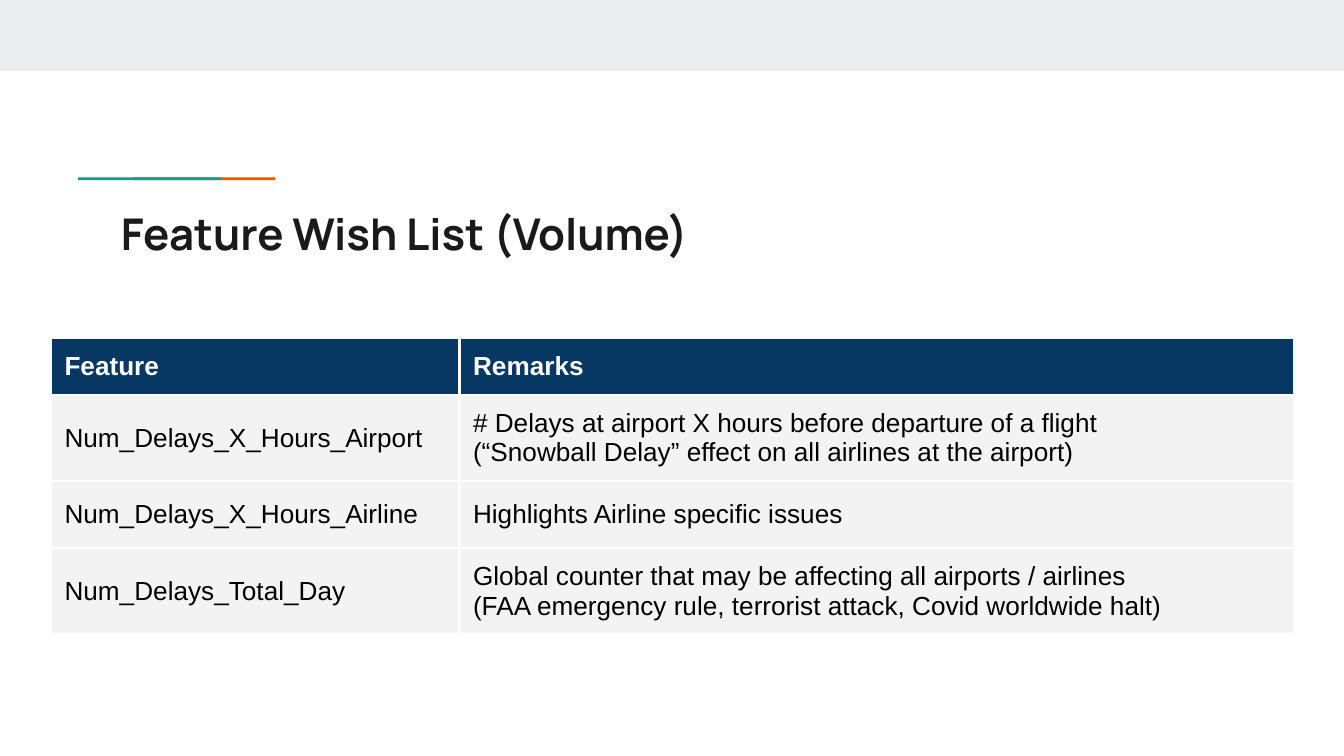
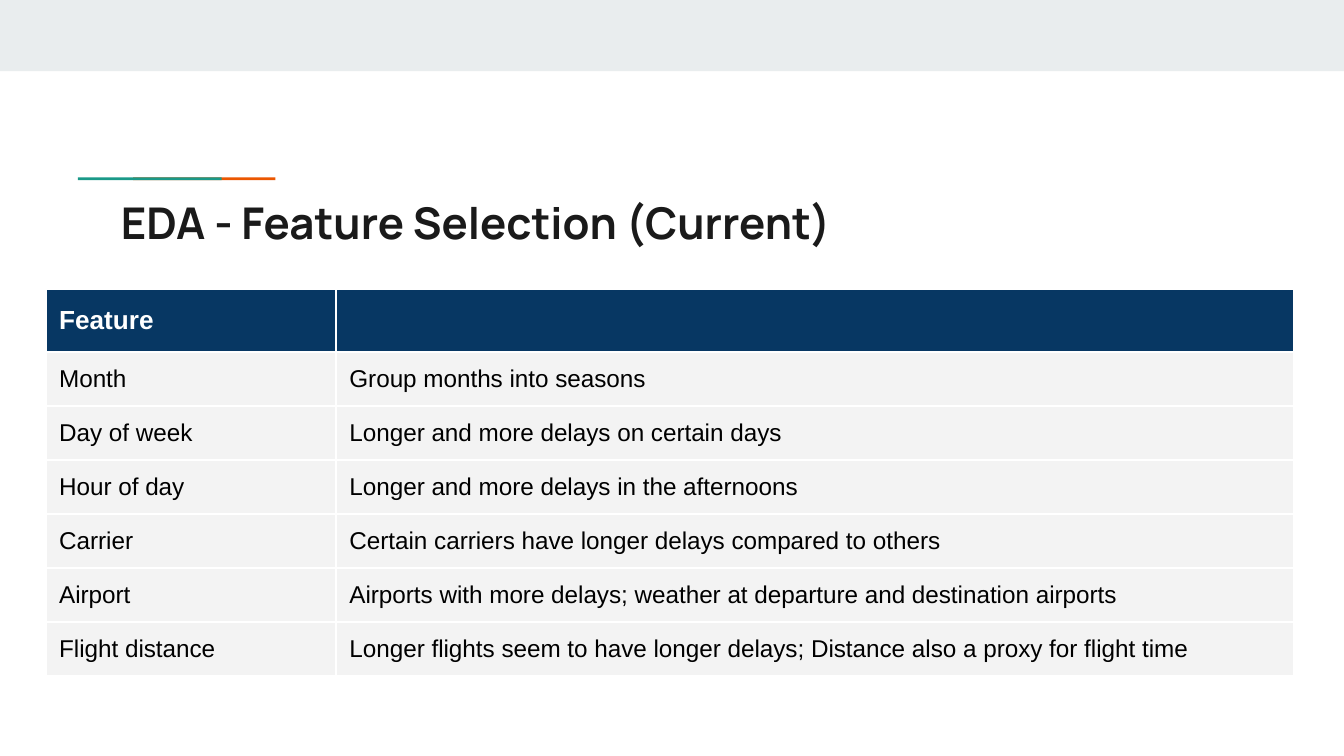
import lxml.etree
import pptx
import pptx.dml.color
import pptx.enum.shapes
import pptx.enum.text
import pptx.oxml
import pptx.oxml.ns
import pptx.util

Inches = pptx.util.Inches
Pt = pptx.util.Pt

FEATURE_SLIDES = [
    {
        "title": "Feature Wish List (Volume)",
        "title_top": 1.44,
        "table_at": (0.38, 2.51),
        "columns": (3.04, 6.21),
        "row_heights": (0.43, 0.64, 0.5, 0.64),
        "body_size": 14,
        "rows": [
            ("Feature", "Remarks"),
            ("Num_Delays_X_Hours_Airport",
             "# Delays at airport X hours before departure of a flight\v"
             "(“Snowball Delay” effect on all airlines at the airport)"),
            ("Num_Delays_X_Hours_Airline", "Highlights Airline specific issues"),
            ("Num_Delays_Total_Day",
             "Global counter that may be affecting all airports / airlines\n"
             "(FAA emergency rule, terrorist attack, Covid worldwide halt)"),
        ],
    },
    {
        "title": "EDA - Feature Selection (Current)",
        "title_top": 1.36,
        "table_at": (0.34, 2.15),
        "columns": (2.16, 7.13),
        "row_heights": (0.47,) + (0.4,) * 6,
        "body_size": 13,
        "rows": [
            ("Feature", ""),
            ("Month", "Group months into seasons"),
            ("Day of week", "Longer and more delays on certain days"),
            ("Hour of day", "Longer and more delays in the afternoons"),
            ("Carrier", "Certain carriers have longer delays compared to others"),
            ("Airport", "Airports with more delays; weather at departure and destination airports"),
            ("Flight distance",
             "Longer flights seem to have longer delays; Distance also a proxy for flight time"),
        ],
    },
]

SLIDE_WIDTH = Inches(10)
SLIDE_HEIGHT = SLIDE_WIDTH * 9 // 16
THEME = {
    "title": {"name": "Manrope", "size": Pt(23.4), "bold": True, "color": "1A1A1A"},
    "header": {"name": "Arial", "size": Pt(14), "bold": True, "color": "FFFFFF"},
    "body": {"name": "Arial", "bold": False, "color": "000000"},
    "header_fill": "073763",
    "body_fill": "F3F3F3",
    "border": ("FFFFFF", Pt(1.5)),
    # Left, top, width, height and colour; the teal bar overlaps the orange one.
    "bars": [
        (0, 0, 10, 0.53, "E9EDEE"),
        (0.99, 1.32, 1.06, 0.02, "EB5600"),
        (0.58, 1.32, 1.07, 0.02, "1A9988"),
    ],
}
FRAME = {
    "margin_left": Inches(0.1), "margin_right": Inches(0.1),
    "margin_top": Inches(0.1), "margin_bottom": Inches(0.1),
}


def rgb(value):
    return pptx.dml.color.RGBColor.from_string(value)


def set_all(target, values):
    for name, value in values.items():
        setattr(target, name, value)


def style_text(text_frame, look):
    for paragraph in text_frame.paragraphs:
        paragraph.alignment = pptx.enum.text.PP_ALIGN.LEFT
        for run in paragraph.runs:
            set_all(run.font, {k: v for k, v in look.items() if k != "color"})
            run.font.color.rgb = rgb(look["color"])
        if not paragraph.runs:
            # An empty line takes its height from the end mark.
            end_mark = pptx.oxml.ns.qn("a:endParaRPr")
            lxml.etree.SubElement(paragraph._p, end_mark, sz=str(int(look["size"].pt * 100)))


def add_bars(slide, layout):
    """Draw the top band and accent bars, then move them to the shared layout."""
    for left, top, width, height, color in THEME["bars"]:
        bar = slide.shapes.add_shape(
            pptx.enum.shapes.MSO_SHAPE.RECTANGLE,
            Inches(left), Inches(top), Inches(width), Inches(height))
        bar.shadow.inherit = False
        bar.fill.solid()
        bar.fill.fore_color.rgb = rgb(color)
        bar.line.fill.background()
        layout.shapes.element.append(bar.element)


def add_title(slide, text, top):
    title = slide.shapes.title
    set_all(title, {"left": Inches(0.8), "top": Inches(top),
                    "width": Inches(8.41), "height": Inches(0.59)})
    title.text = text
    set_all(title.text_frame, {
        **FRAME, "word_wrap": True,
        "vertical_anchor": pptx.enum.text.MSO_ANCHOR.TOP,
        "auto_size": pptx.enum.text.MSO_AUTO_SIZE.NONE})
    style_text(title.text_frame, THEME["title"])


def add_borders(cell):
    color, width = THEME["border"]
    properties = cell._tc.get_or_add_tcPr()
    for position, side in enumerate(("lnL", "lnR", "lnT", "lnB")):
        properties.insert(position, pptx.oxml.parse_xml(
            f'<a:{side} {pptx.oxml.ns.nsdecls("a")} w="{width}">'
            f'<a:solidFill><a:srgbClr val="{color}"/></a:solidFill></a:{side}>'))


def add_feature_table(slide, content):
    rows, columns, heights = content["rows"], content["columns"], content["row_heights"]
    left, top = content["table_at"]
    table = slide.shapes.add_table(
        len(rows), len(columns), Inches(left), Inches(top),
        Inches(sum(columns)), Inches(sum(heights))).table
    for column, width in zip(table.columns, columns):
        column.width = Inches(width)
    body = {**THEME["body"], "size": Pt(content["body_size"])}
    for r, (texts, height) in enumerate(zip(rows, heights)):
        table.rows[r].height = Inches(height)
        look, fill = (body, "body_fill") if r else (THEME["header"], "header_fill")
        for c, text in enumerate(texts):
            cell = table.cell(r, c)
            cell.text_frame.text = text
            set_all(cell, {**FRAME, "vertical_anchor": pptx.enum.text.MSO_ANCHOR.MIDDLE})
            style_text(cell.text_frame, look)
            cell.fill.solid()
            cell.fill.fore_color.rgb = rgb(THEME[fill])
            add_borders(cell)


def main():
    deck = pptx.Presentation()
    set_all(deck, {"slide_width": SLIDE_WIDTH, "slide_height": SLIDE_HEIGHT})
    layout = deck.slide_layouts.get_by_name("Title Only")
    for number, content in enumerate(FEATURE_SLIDES):
        slide = deck.slides.add_slide(layout)
        if number == 0:
            add_bars(slide, layout)
        add_title(slide, content["title"], content["title_top"])
        add_feature_table(slide, content)
    deck.save("out.pptx")


if __name__ == "__main__":
    main()
